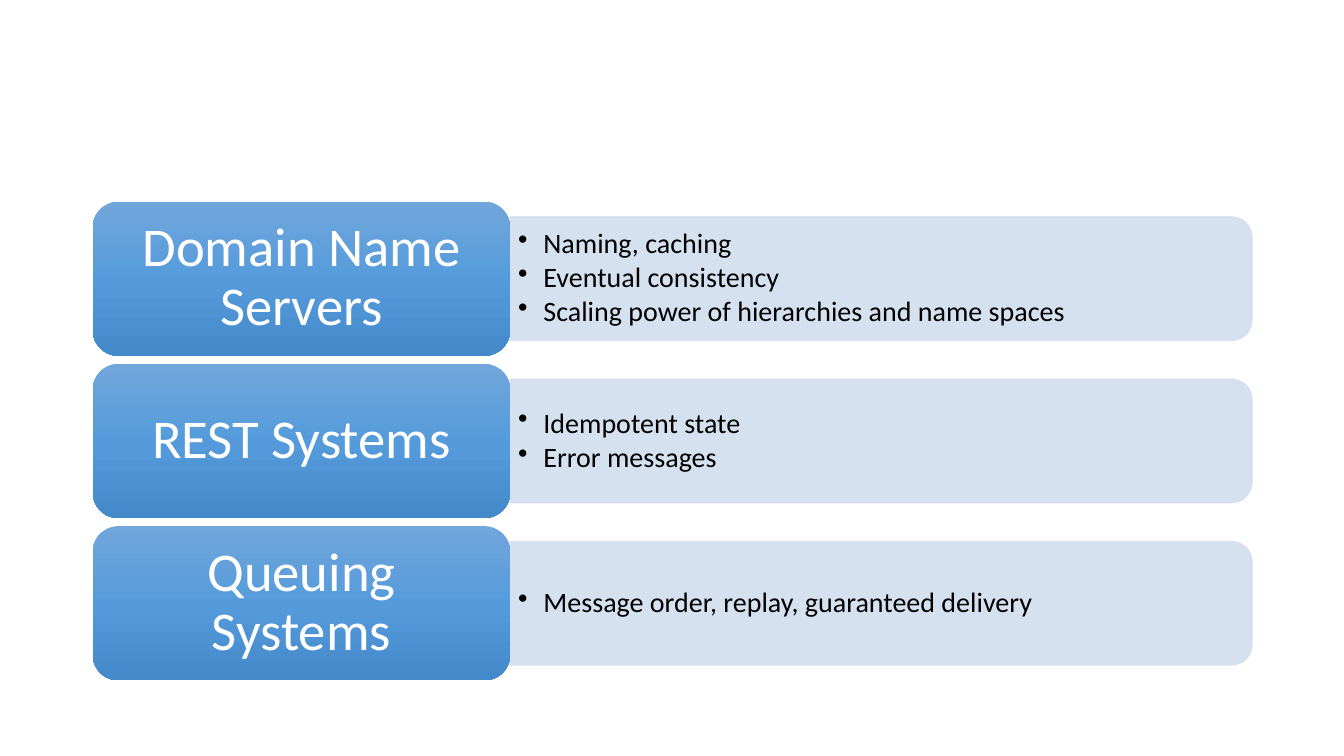
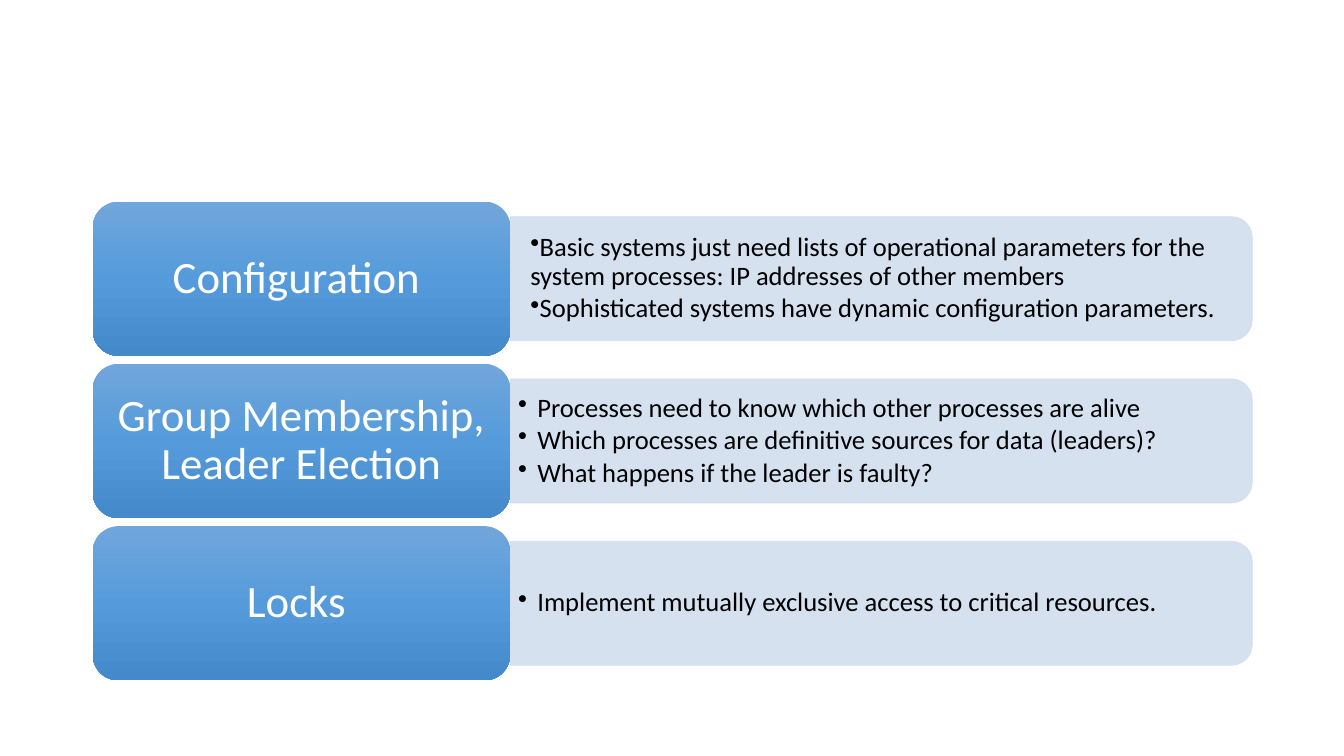
from copy import deepcopy

from pptx import Presentation
from pptx.dml.color import RGBColor
from pptx.enum import shapes, text
from pptx.oxml.ns import qn
from pptx.util import Inches, Pt

# Shared style
FONT = "Calibri"
WHITE = RGBColor(0xFF, 0xFF, 0xFF)
BLACK = RGBColor(0x00, 0x00, 0x00)
PALE = RGBColor(0xD2, 0xDE, 0xEF)
BLUES = (RGBColor(0x71, 0xA6, 0xDB), RGBColor(0x55, 0x9B, 0xDB),
         RGBColor(0x44, 0x8A, 0xCA))
OPACITY = 90

# Shared grid, in inches
LEFT, TOP, STEP = 0.92, 2.0, 1.61
LABEL_W, LABEL_H = 4.14, 1.53
PANEL_W, PANEL_H = 7.36, 1.23
LIST_W, LIST_H = 7.3, 1.11
SPLIT = LEFT + LABEL_W

# Slide content: label, bullets, left margin, first-line indent
SYSTEMS = [
    ("Domain Name Servers",
     ["Naming, caching", "Eventual consistency",
      "Scaling power of hierarchies and name spaces"], 0.25, -0.25),
    ("REST Systems", ["Idempotent state", "Error messages"], 0.25, -0.25),
    ("Queuing Systems",
     ["Message order, replay, guaranteed delivery"], 0.25, -0.25),
]
TASKS = [
    ("Configuration ",
     ["Basic systems just need lists of operational parameters for the "
      "system processes: IP addresses of other members",
      "Sophisticated systems have dynamic configuration parameters."],
     0.12, 0),
    ("Group Membership, Leader Election",
     ["Processes need to know which other processes are alive",
      "Which processes are definitive sources for data (leaders)?",
      "What happens if the leader is faulty?"], 0.19, -0.19),
    ("Locks ",
     ["Implement mutually exclusive access to critical resources."],
     0.19, -0.19),
]


def set_frame(frame, side, edge):
    """Wrap and centre the text vertically, with the given insets."""
    frame.word_wrap = True
    frame.vertical_anchor = text.MSO_ANCHOR.MIDDLE
    frame.margin_left = frame.margin_right = Inches(side)
    frame.margin_top = frame.margin_bottom = Inches(edge)


def add_run(para, words, size, color):
    para.line_spacing = 0.9
    run = para.add_run()
    run.text = words
    run.font.name = FONT
    run.font.size = Pt(size)
    run.font.color.rgb = color


def add_panel(slide, mid):
    """Pale band, rounded on the right: a top-rounded shape turned by 90."""
    panel = slide.shapes.add_shape(
        shapes.MSO_SHAPE.ROUND_2_SAME_RECTANGLE,
        Inches(SPLIT + (PANEL_W - PANEL_H) / 2), Inches(mid - PANEL_W / 2),
        Inches(PANEL_H), Inches(PANEL_W))
    panel.rotation = 90
    panel.shadow.inherit = False
    panel.fill.solid()
    panel.fill.fore_color.rgb = PALE
    panel.line.color.rgb = PALE
    panel.line.width = Pt(0.5)
    for color in panel._element.spPr.iter(qn("a:srgbClr")):
        alpha = color.makeelement(qn("a:alpha"), {"val": str(OPACITY * 1000)})
        color.append(alpha)


def add_list(slide, mid, items, margin, indent, size):
    box = slide.shapes.add_textbox(
        Inches(SPLIT), Inches(mid - LIST_H / 2),
        Inches(LIST_W), Inches(LIST_H))
    frame = box.text_frame
    set_frame(frame, 0.08, 0.04)
    for i, item in enumerate(items):
        para = frame.add_paragraph() if i else frame.paragraphs[0]
        para.level = 1
        para.space_after = Pt(2.7)
        add_run(para, item, size, BLACK)
        props = para._p.get_or_add_pPr()
        props.set("marL", str(Inches(margin)))
        props.set("indent", str(Inches(indent)))
        props.append(props.makeelement(qn("a:buChar"), {"char": "•"}))


def add_label(slide, mid, words, size, side, edge):
    label = slide.shapes.add_shape(
        shapes.MSO_SHAPE.ROUNDED_RECTANGLE,
        Inches(LEFT), Inches(mid - LABEL_H / 2),
        Inches(LABEL_W), Inches(LABEL_H))
    label.shadow.inherit = False
    label.line.fill.background()
    # Three-stop gradient, running downwards
    label.fill.gradient()
    label.fill.gradient_angle = 270
    stops = label._element.spPr.find(".//" + qn("a:gsLst"))
    stops.append(deepcopy(stops[0]))
    for i, stop in enumerate(label.fill.gradient_stops):
        stop.color.rgb = BLUES[i]
        stop.position = i / 2
    set_frame(label.text_frame, side, edge)
    para = label.text_frame.paragraphs[0]
    para.alignment = text.PP_ALIGN.CENTER
    add_run(para, words, size, WHITE)


def add_rows(deck, rows, head, body, side, edge):
    """One slide of label and list rows, with its two text sizes."""
    slide = deck.slides.add_slide(deck.slide_layouts[6])
    for i, (words, items, margin, indent) in enumerate(rows):
        mid = TOP + i * STEP + LABEL_H / 2
        add_panel(slide, mid)
        add_list(slide, mid, items, margin, indent, body)
        add_label(slide, mid, words, head, side, edge)


def main():
    deck = Presentation()
    deck.slide_width = Inches(13.33)
    deck.slide_height = Inches(7.5)
    add_rows(deck, SYSTEMS, 39, 20, 0.16, 0.08)
    add_rows(deck, TASKS, 32, 19, 0.13, 0.07)
    deck.save("out.pptx")


if __name__ == "__main__":
    main()
